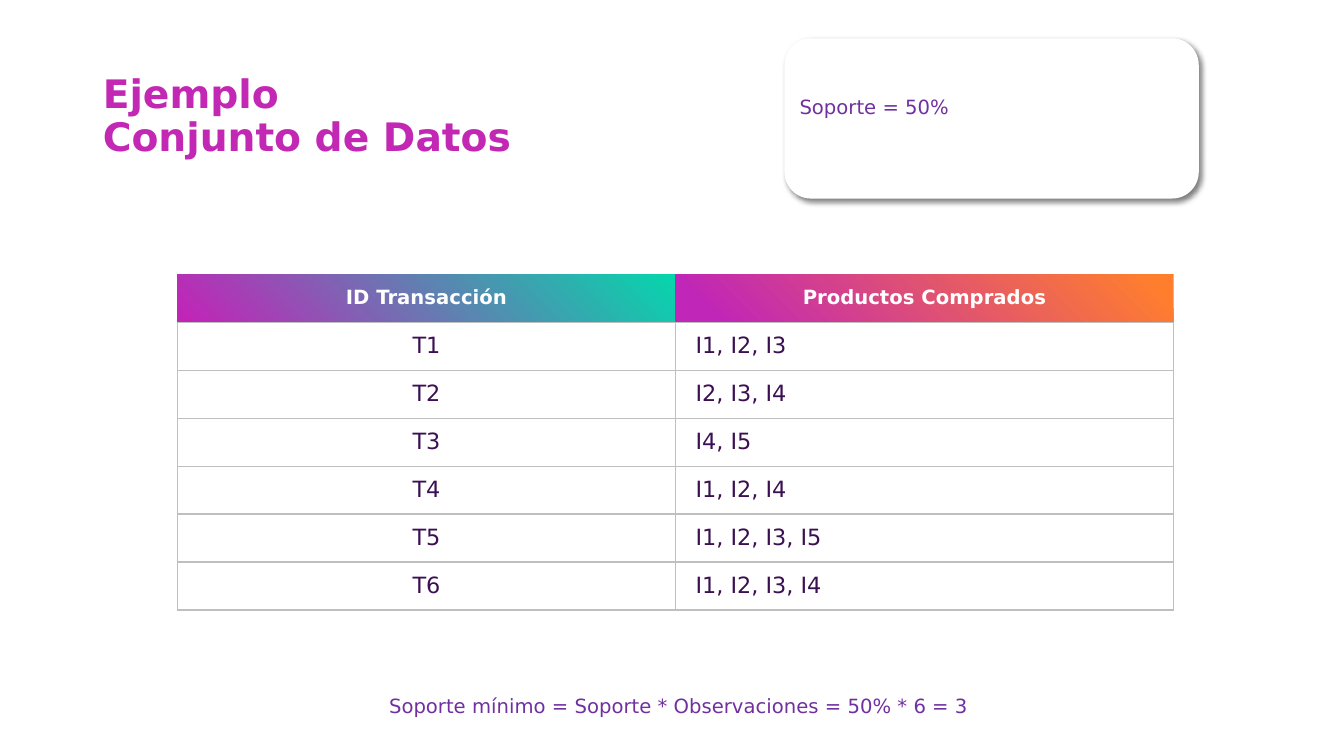
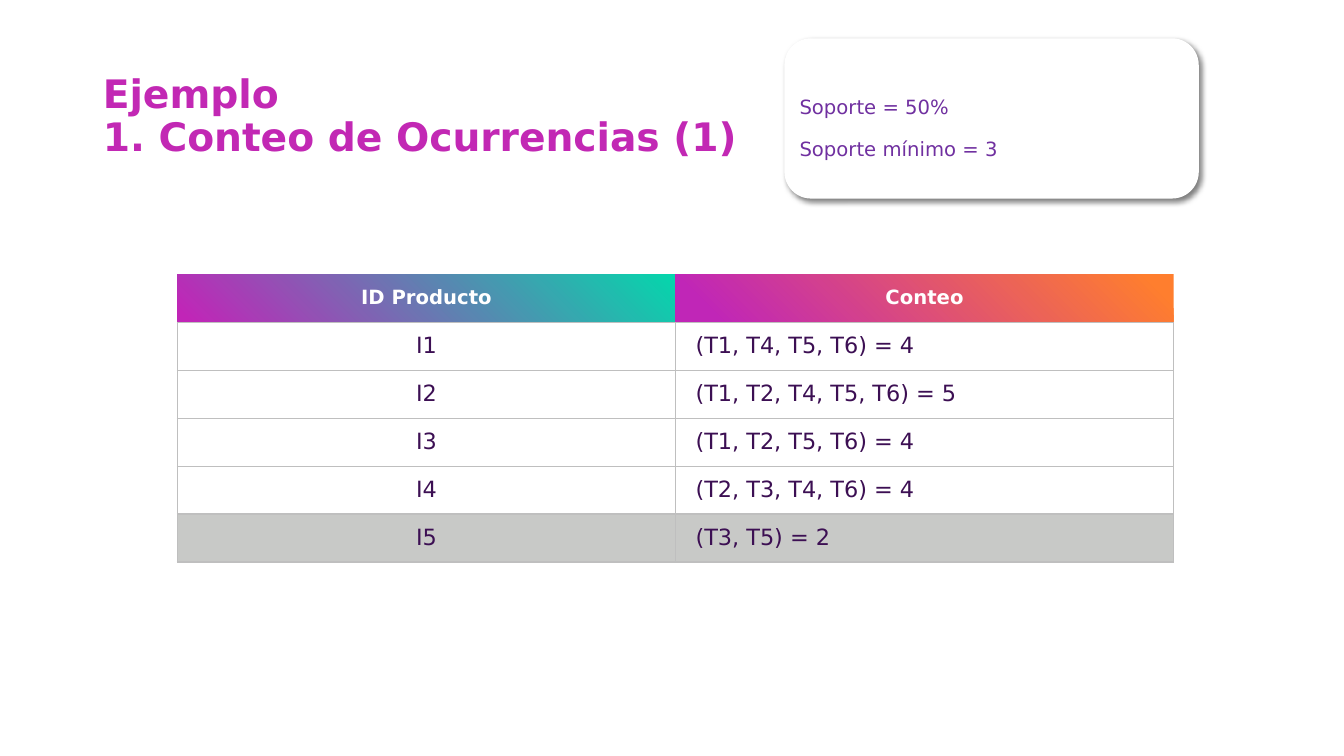
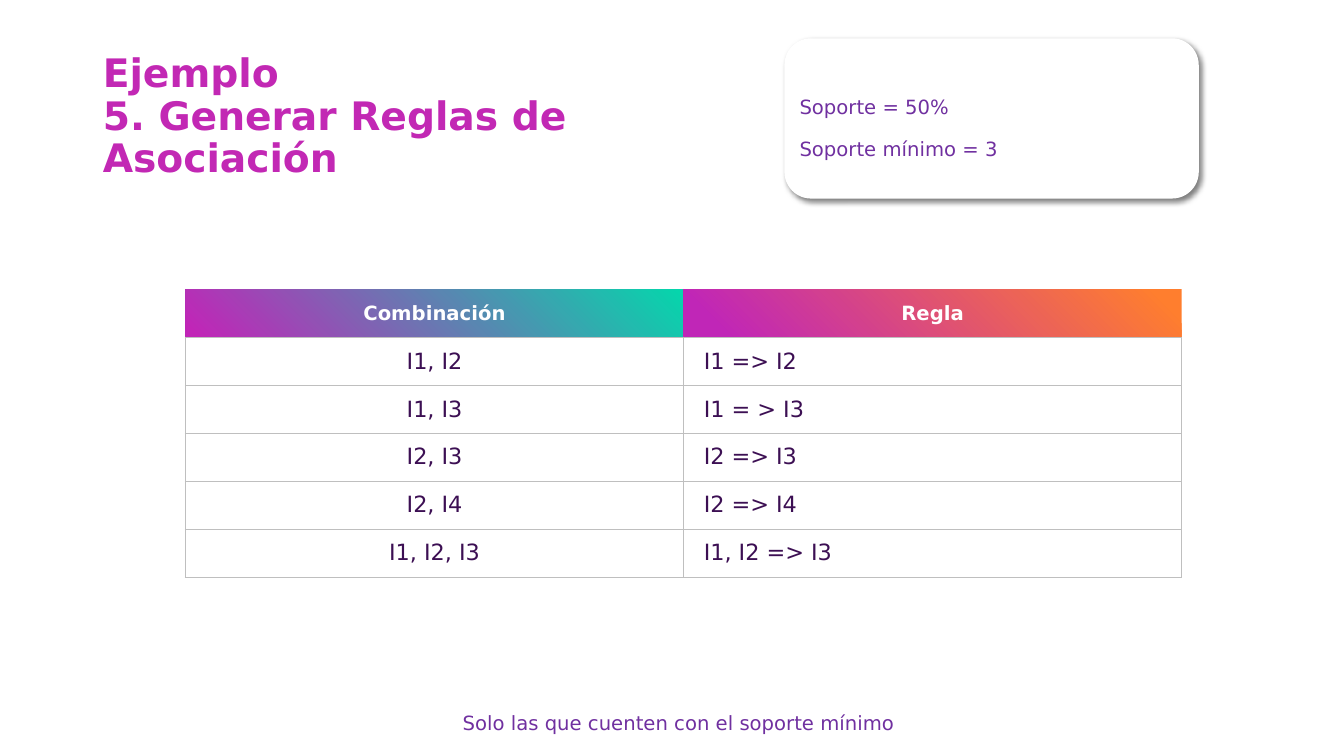
from lxml.etree import SubElement
from pptx import Presentation
from pptx.dml.color import RGBColor
from pptx.enum.shapes import MSO_SHAPE
from pptx.enum.text import MSO_ANCHOR, MSO_AUTO_SIZE, PP_ALIGN
from pptx.oxml import parse_xml
from pptx.oxml.ns import nsdecls, qn
from pptx.util import Inches, Pt


def color(value):
    return RGBColor.from_string(value)


class Deck:
    FONT = "DejaVu Sans"
    TITLE = "C228B4"
    NOTE = "7030A0"
    CELL_TEXT = "3C0F53"
    WHITE = "FFFFFF"
    GRAY = "C8C9C7"
    BORDER = "BFBFBF"
    HEADER_GRADIENTS = (
        ((0.01, "06D5AC"), (0.98, "C125B7")),
        ((0.05, "FF7E2E"), (0.92, "C026B7")),
    )
    COLUMN_WIDTH = 4.94
    ROW_HEIGHT = 0.476

    def __init__(self):
        self.presentation = Presentation()
        self.presentation.slide_width = Inches(13.33)
        self.presentation.slide_height = Inches(7.5)
        self.slide = None

    def add_slide(self):
        layout = self.presentation.slide_layouts[5]
        self.slide = self.presentation.slides.add_slide(layout)

    def add_run(self, paragraph, text, size, font_color, bold=False):
        run = paragraph.add_run()
        run.text = text
        run.font.name = self.FONT
        run.font.size = Pt(size)
        run.font.bold = bold
        run.font.color.rgb = color(font_color)

    def add_title(self, subtitle, width=11.5):
        title = self.slide.shapes.title
        title.left, title.top = Inches(0.92), Inches(0.71)
        title.width, title.height = Inches(width), Inches(0.91)
        frame = title.text_frame
        frame.word_wrap = True
        frame.auto_size = MSO_AUTO_SIZE.NONE
        frame.vertical_anchor = MSO_ANCHOR.MIDDLE
        paragraph = frame.paragraphs[0]
        paragraph.alignment = PP_ALIGN.LEFT
        paragraph.line_spacing = 0.9
        self.add_run(paragraph, "Ejemplo", 28, self.TITLE, True)
        paragraph.add_line_break()
        self.add_run(paragraph, subtitle, 28, self.TITLE, True)

    def add_note(self, lines, left, top, width, height, alignment=PP_ALIGN.LEFT):
        shape = self.slide.shapes.add_textbox(
            Inches(left), Inches(top), Inches(width), Inches(height))
        frame = shape.text_frame
        frame.word_wrap = True
        frame.auto_size = MSO_AUTO_SIZE.SHAPE_TO_FIT_TEXT
        frame.margin_left = 0
        for index, line in enumerate(lines):
            paragraph = frame.add_paragraph() if index else frame.paragraphs[0]
            paragraph.alignment = alignment
            paragraph.line_spacing = 0.9
            paragraph.space_before = Pt(14.7 if index else 0)
            self.add_run(paragraph, line, 14, self.NOTE)

    def add_support_card(self, lines):
        card = self.slide.shapes.add_shape(
            MSO_SHAPE.ROUNDED_RECTANGLE,
            Inches(7.78), Inches(0.38), Inches(4.11), Inches(1.59))
        card.fill.solid()
        card.fill.fore_color.rgb = color(self.WHITE)
        card.line.fill.background()
        card.shadow.inherit = False
        effects = card.element.spPr.find(qn("a:effectLst"))
        effects.append(parse_xml(
            f'<a:outerShdw {nsdecls("a")} blurRad="{Pt(4)}" dist="{Pt(3)}" '
            'dir="2700000" algn="tl" rotWithShape="0">'
            '<a:srgbClr val="000000"><a:alpha val="50000"/></a:srgbClr>'
            '</a:outerShdw>'))
        self.add_note(lines, 7.93, 0.92, 3.79, 0.31 if len(lines) == 1 else 0.74)

    def add_footnote(self, text, top):
        self.add_note([text], 1.04, top, 11.48, 0.31, PP_ALIGN.CENTER)

    def set_borders(self, cell, visible_sides):
        properties = cell._tc.get_or_add_tcPr()
        for index, side in enumerate("LRTB"):
            line = SubElement(properties, qn(f"a:ln{side}"), w=str(Pt(1)))
            if side in visible_sides:
                fill = SubElement(line, qn("a:solidFill"))
                SubElement(fill, qn("a:srgbClr"), val=self.BORDER)
            else:
                SubElement(line, qn("a:noFill"))
            properties.insert(index, line)

    def fill_header(self, cell, gradient):
        cell.fill.gradient()
        cell.fill.gradient_angle = 225
        for stop, (position, stop_color) in zip(cell.fill.gradient_stops, gradient):
            stop.position = position
            stop.color.rgb = color(stop_color)

    def fill_body(self, cell, column, fill_color):
        cell.fill.solid()
        cell.fill.fore_color.rgb = color(fill_color)
        cell.margin_left = Inches(0.2 * column)
        cell.margin_right = cell.margin_top = cell.margin_bottom = 0

    def add_table(self, rows, left=1.76, top=2.72, shaded_row=None):
        table = self.slide.shapes.add_table(
            len(rows), 2, Inches(left), Inches(top),
            Inches(2 * self.COLUMN_WIDTH), Inches(len(rows) * self.ROW_HEIGHT)).table
        table.first_row = table.horz_banding = False
        for row_index, row in enumerate(rows):
            header = row_index == 0
            for column, text in enumerate(row):
                cell = table.cell(row_index, column)
                cell.vertical_anchor = MSO_ANCHOR.MIDDLE
                paragraph = cell.text_frame.paragraphs[0]
                centered = header or column == 0
                paragraph.alignment = PP_ALIGN.CENTER if centered else PP_ALIGN.LEFT
                if header:
                    self.fill_header(cell, self.HEADER_GRADIENTS[column])
                    self.add_run(paragraph, text, 14, self.WHITE, True)
                else:
                    shaded = row_index == shaded_row
                    self.fill_body(cell, column, self.GRAY if shaded else self.WHITE)
                    self.add_run(paragraph, text, 16, self.CELL_TEXT)
                self.set_borders(cell, "B" if header else "LRTB")


def main():
    deck = Deck()
    support = "Soporte = 50%"
    minimum_support = "Soporte mínimo = 3"

    deck.add_slide()
    deck.add_title("Conjunto de Datos")
    deck.add_table([
        ("ID Transacción", "Productos Comprados"),
        ("T1", "I1, I2, I3"),
        ("T2", "I2, I3, I4"),
        ("T3", "I4, I5"),
        ("T4", "I1, I2, I4"),
        ("T5", "I1, I2, I3, I5"),
        ("T6", "I1, I2, I3, I4"),
    ])
    deck.add_support_card([support])
    deck.add_footnote("Soporte mínimo = Soporte * Observaciones = 50% * 6 = 3", 6.86)

    deck.add_slide()
    deck.add_title("1. Conteo de Ocurrencias (1)")
    deck.add_support_card([support, minimum_support])
    deck.add_table([
        ("ID Producto", "Conteo"),
        ("I1", "(T1, T4, T5, T6) = 4"),
        ("I2", "(T1, T2, T4, T5, T6) = 5"),
        ("I3", "(T1, T2, T5, T6) = 4"),
        ("I4", "(T2, T3, T4, T6) = 4"),
        ("I5", "(T3, T5) = 2"),
    ], shaded_row=5)

    deck.add_slide()
    deck.add_title("5. Generar Reglas de Asociación", 6.86)
    deck.add_support_card([support, minimum_support])
    deck.add_table([
        ("Combinación", "Regla"),
        ("I1, I2", "I1 => I2"),
        ("I1, I3", "I1 = > I3"),
        ("I2, I3", "I2 => I3"),
        ("I2, I4", "I2 => I4"),
        ("I1, I2, I3", "I1, I2 => I3"),
    ], left=1.84, top=2.87)
    deck.add_footnote("Solo las que cuenten con el soporte mínimo", 7.03)

    deck.presentation.save("out.pptx")


if __name__ == "__main__":
    main()
